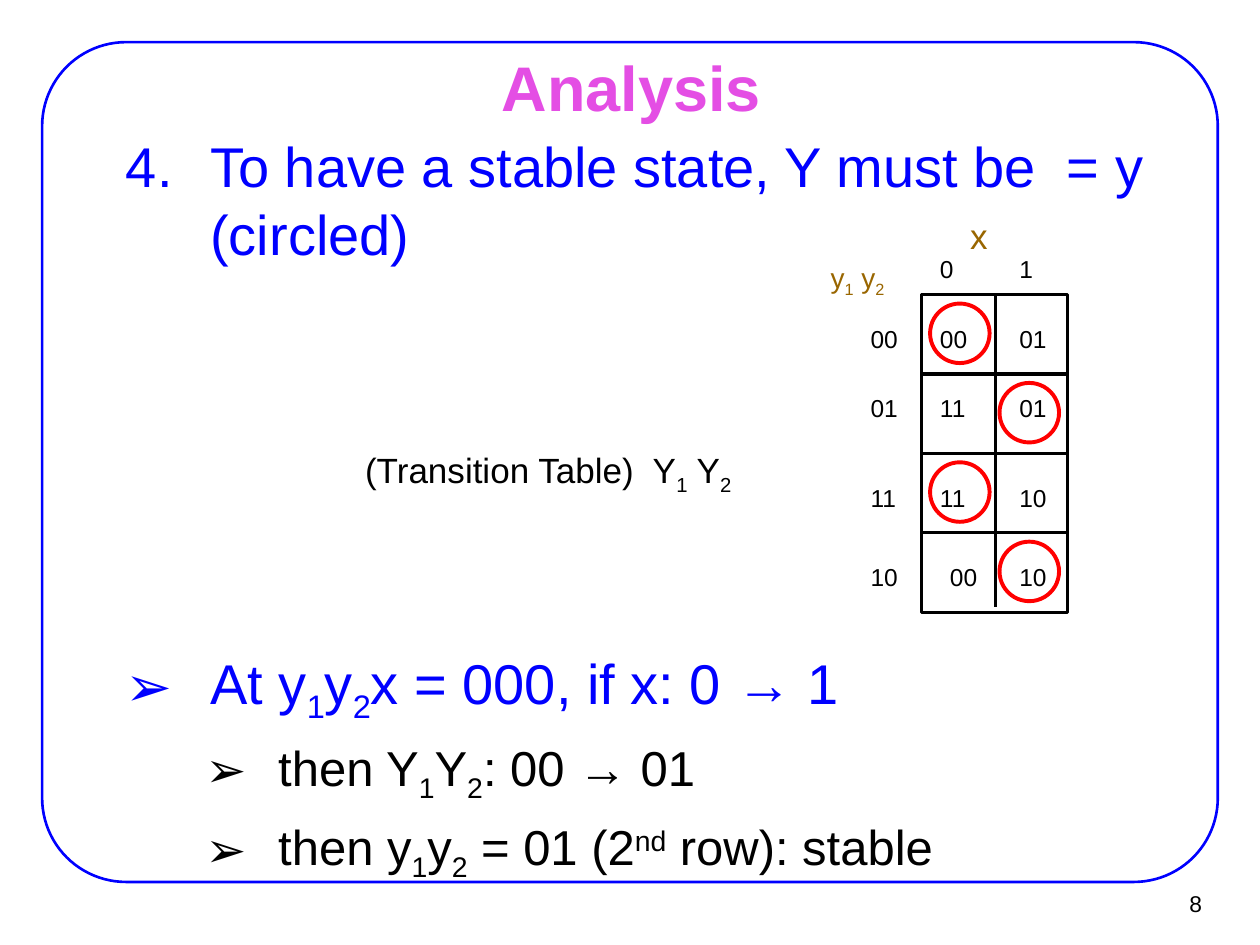
"""Build the slide on stable states in a transition table."""
from lxml.etree import SubElement
from pptx import Presentation
from pptx.dml.color import RGBColor
from pptx.enum.shapes import MSO_CONNECTOR, MSO_SHAPE
from pptx.enum.text import MSO_ANCHOR, PP_ALIGN
from pptx.oxml.ns import qn
from pptx.util import Cm, Pt

BLUE = RGBColor(0x00, 0x00, 0xFF)
BLACK = RGBColor(0x00, 0x00, 0x00)
PINK = RGBColor(0xE4, 0x4E, 0xE4)
BROWN = RGBColor(0x99, 0x66, 0x00)
RED = RGBColor(0xFF, 0x00, 0x00)

presentation = Presentation()
presentation.slide_width = Cm(25.4)
presentation.slide_height = Cm(19.05)
slide = presentation.slides.add_slide(presentation.slide_layouts[6])


def add_outline(kind, left, top, width, height, color, weight):
    shape = slide.shapes.add_shape(kind, Cm(left), Cm(top), Cm(width), Cm(height))
    shape.shadow.inherit = False
    shape.fill.background()
    shape.line.color.rgb = color
    shape.line.width = Pt(weight)
    return shape


def add_text(left, top, width, height, lines, margins=(0, 0)):
    """Each line is (text, size, color); every second part between bars is shifted."""
    box = slide.shapes.add_textbox(Cm(left), Cm(top), Cm(width), Cm(height))
    text_frame = box.text_frame
    text_frame.word_wrap = True
    text_frame.margin_left = text_frame.margin_right = Cm(margins[0])
    text_frame.margin_top = text_frame.margin_bottom = Cm(margins[1])
    text_frame.text = "\n".join([""] * len(lines))
    for paragraph, (text, size, color) in zip(text_frame.paragraphs, lines):
        for index, part in enumerate(text.split("|")):
            run = paragraph.add_run()
            run.text = part
            run.font.name = "Arial"
            run.font.size = Pt(size)
            run.font.color.rgb = color
            if index % 2:
                baseline = "30000" if part == "nd" else "-25000"
                run.font._element.set("baseline", baseline)
    return text_frame


frame = add_outline(MSO_SHAPE.ROUNDED_RECTANGLE, 0.85, 0.85, 23.7, 16.93, BLUE, 1.5)
frame.adjustments[0] = 0.1

number = add_text(22.91, 17.75, 1.55, 0.94, [("8", 13, BLACK)], (0.23, 0.1))
number.vertical_anchor = MSO_ANCHOR.MIDDLE
number.paragraphs[0].alignment = PP_ALIGN.RIGHT

title = add_text(1.93, 1.12, 21.59, 1.24, [("Analysis", 36, PINK)], (0.28, 0.15))
title.vertical_anchor = MSO_ANCHOR.MIDDLE
title.paragraphs[0].alignment = PP_ALIGN.CENTER
title.paragraphs[0].runs[0].font.bold = True

condition = add_text(0.99, 2.51, 24.41, 3.4, [
    ("To have a stable state, Y must be  = y (circled)", 32, BLUE),
], (0.28, 0.15))
example = add_text(0.99, 12.93, 24.41, 7.01, [
    ("At y|1|y|2|x = 000, if x: 0 → 1", 32, BLUE),
    ("then Y|1|Y|2|: 00 → 01", 28, BLACK),
    ("then y|1|y|2| = 01 (2|nd| row): stable", 28, BLACK),
], (0.28, 0.15))

for paragraph in condition.paragraphs + example.paragraphs:
    top_level = paragraph.runs[0].font.size == Pt(32)
    paragraph.space_before = Pt(8 if top_level else 7)
    properties = paragraph._p.get_or_add_pPr()
    properties.set("marL", str(Cm(2.97 if top_level else 4.34)))
    properties.set("indent", str(-Cm(1.7 if top_level else 1.47)))
    bullet_color = SubElement(properties, qn("a:buClr"))
    SubElement(bullet_color, qn("a:srgbClr"), val=str(BLUE if top_level else BLACK))
    SubElement(properties, qn("a:buFont"), typeface="Arial")
    if paragraph.text.startswith("To have"):
        SubElement(properties, qn("a:buAutoNum"), type="arabicPeriod", startAt="4")
    else:
        SubElement(properties, qn("a:buChar"), char="➢")

add_text(7.11, 8.92, 9.8, 1.22, [("(Transition Table)  Y|1| Y|2", 20, BLACK)], (0.25, 0.13))

GRID_LEFT, GRID_TOP, GRID_WIDTH, GRID_HEIGHT = 18.57, 5.94, 2.95, 6.4
ROW_HEIGHT = GRID_HEIGHT / 4
GRID_RIGHT, GRID_MIDDLE = GRID_LEFT + GRID_WIDTH, 20.07
add_outline(MSO_SHAPE.RECTANGLE, GRID_LEFT, GRID_TOP, GRID_WIDTH, GRID_HEIGHT, BLACK, 1.75)

grid_lines = [(GRID_MIDDLE, GRID_TOP, GRID_MIDDLE, 12.24)]
for row in range(1, 4):
    y = GRID_TOP + row * ROW_HEIGHT
    grid_lines.append((GRID_RIGHT, y, GRID_LEFT, y))
for ends in grid_lines:
    line = slide.shapes.add_connector(MSO_CONNECTOR.STRAIGHT, *[Cm(end) for end in ends])
    line.line.color.rgb = BLACK
    line.line.width = Pt(1.75)
    SubElement(line._element.spPr, qn("a:effectLst"))

add_text(16.59, 5.26, 1.6, 0.76, [(" y|1| y|2", 16, BROWN)])
add_text(19.56, 4.32, 0.6, 0.84, [("x", 20, BROWN)])

COLUMN_LEFTS = (18.95, 20.55)
for left, value in zip(COLUMN_LEFTS, "01"):
    add_text(left, 5.13, 0.7, 0.58, [(value, 14, BLACK)])

transitions = [
    (6.53, "00", ("00", "01")),
    (7.92, "01", ("11", "01")),
    (9.73, "11", ("11", "10")),
    (11.33, "10", ("00", "10")),
]
for row, (top, state, next_states) in enumerate(transitions):
    add_text(17.55, top, 0.7, 0.58, [(state, 14, BLACK)])
    for column, next_state in enumerate(next_states):
        nudge = 0.2 if (row, column) == (3, 0) else 0
        add_text(COLUMN_LEFTS[column] + nudge, top, 0.7, 0.58, [(next_state, 14, BLACK)])
        if next_state == state:
            circle_left = 18.75 + column * 1.4
            circle_top = 6.12 + row * ROW_HEIGHT
            add_outline(MSO_SHAPE.OVAL, circle_left, circle_top, 1.2, 1.2, RED, 2.25)

presentation.save("out.pptx")
